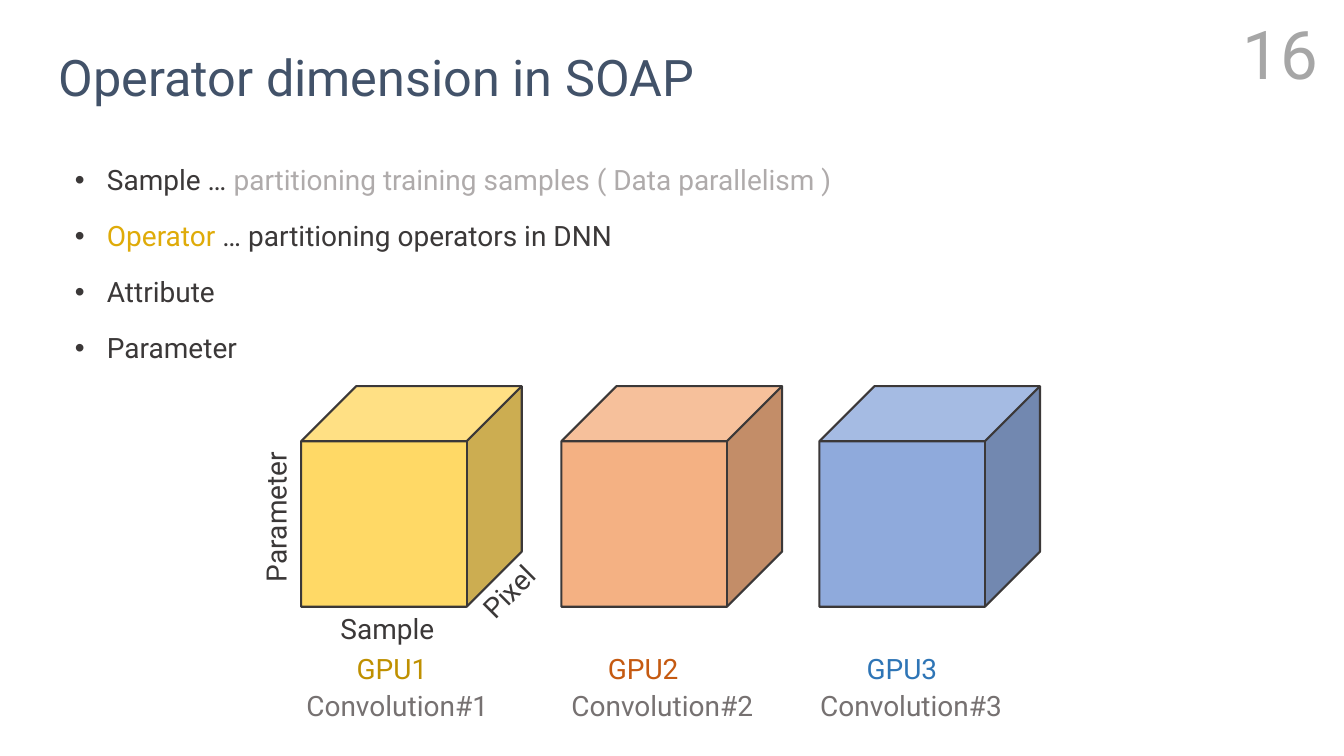
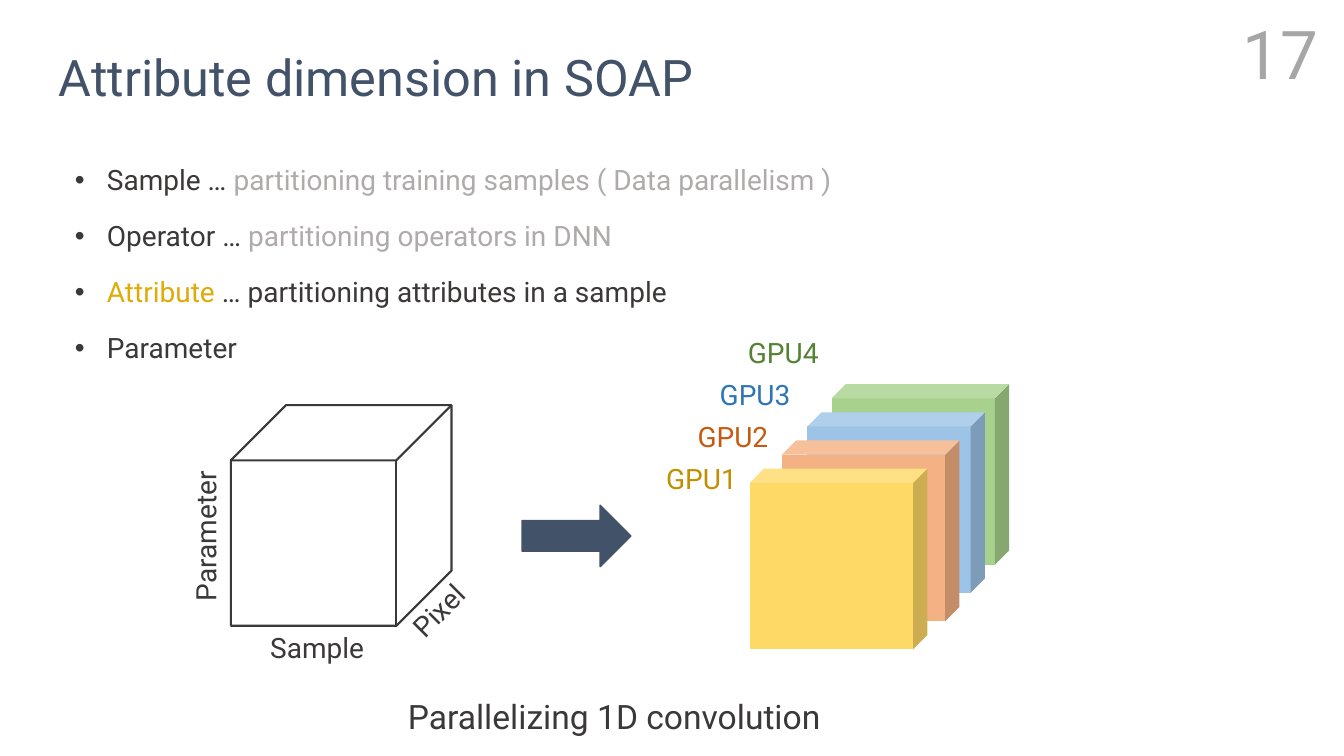
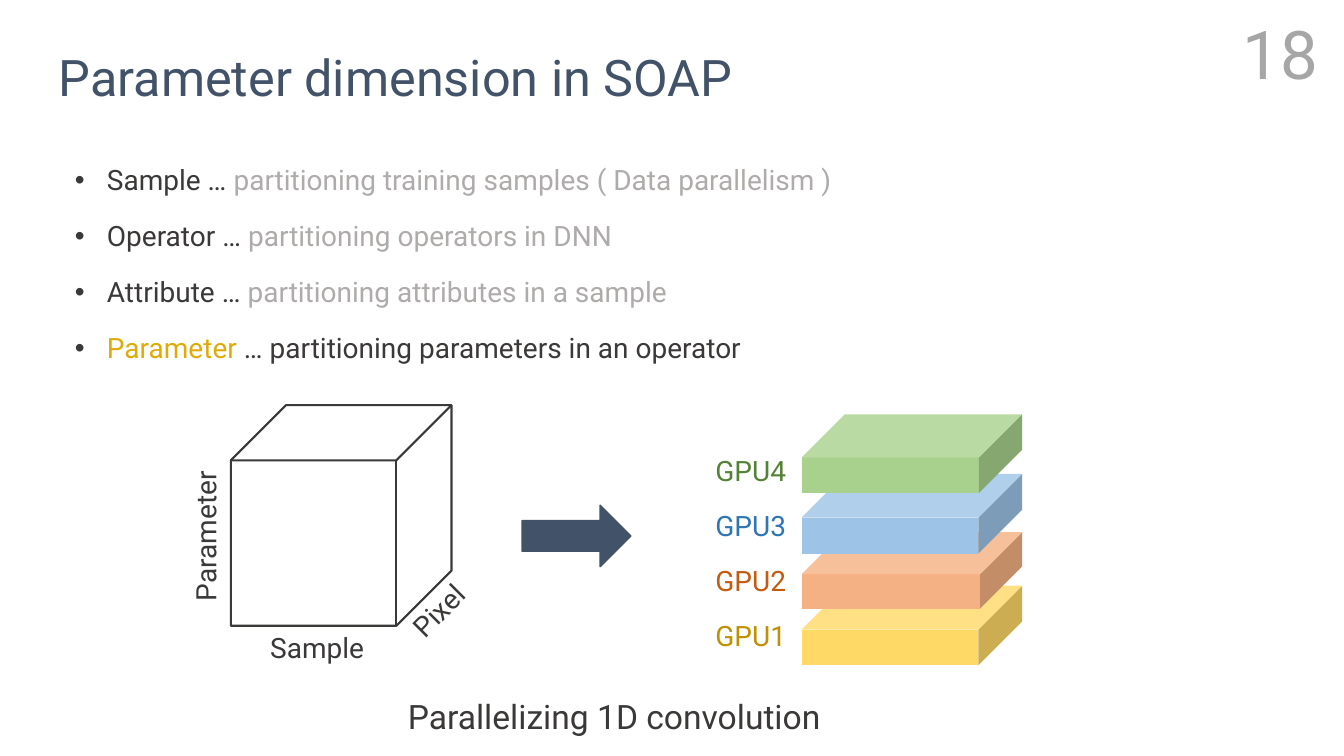
from collections import namedtuple

from lxml.etree import SubElement
from pptx import Presentation
from pptx.dml.color import RGBColor
from pptx.enum.shapes import MSO_SHAPE
from pptx.enum.text import MSO_ANCHOR, MSO_AUTO_SIZE, PP_ALIGN
from pptx.oxml.ns import qn
from pptx.util import Cm, Pt

FONT = "Roboto"
NAVY = RGBColor(0x42, 0x52, 0x69)
DARK = RGBColor(0x3B, 0x38, 0x38)
PALE_GRAY = RGBColor(0xAF, 0xAB, 0xAB)
PAGE_GRAY = RGBColor(0xA6, 0xA6, 0xA6)
LAYER_GRAY = RGBColor(0x76, 0x71, 0x71)
GOLD = RGBColor(0xDF, 0xAB, 0x09)
PERIWINKLE = RGBColor(0x8F, 0xAA, 0xDC)

Gpu = namedtuple("Gpu", "name fill text")
GPUS = [
    Gpu("GPU1", RGBColor(0xFF, 0xD9, 0x66), RGBColor(0xBF, 0x90, 0x00)),
    Gpu("GPU2", RGBColor(0xF4, 0xB1, 0x83), RGBColor(0xC5, 0x5A, 0x11)),
    Gpu("GPU3", RGBColor(0x9D, 0xC3, 0xE6), RGBColor(0x2E, 0x75, 0xB6)),
    Gpu("GPU4", RGBColor(0xA9, 0xD1, 0x8E), RGBColor(0x54, 0x82, 0x35)),
]

DIMENSIONS = [
    ("Sample", "partitioning training samples ( Data parallelism )"),
    ("Operator", "partitioning operators in DNN"),
    ("Attribute", "partitioning attributes in a sample"),
    ("Parameter", "partitioning parameters in an operator"),
]

CUBE_SIDE = 5.56
LABEL_HEIGHT = 1.12


def place(shape, left, top, width, height):
    shape.left, shape.top = Cm(left), Cm(top)
    shape.width, shape.height = Cm(width), Cm(height)


def add_run(paragraph, text, size, color):
    run = paragraph.add_run()
    run.text = text
    run.font.name = FONT
    run.font.size = Pt(size)
    run.font.color.rgb = color


def add_bullet(paragraph):
    properties = paragraph._p.get_or_add_pPr()
    properties.set("marL", str(Cm(0.81)))
    properties.set("indent", str(-Cm(0.81)))
    color = SubElement(properties, qn("a:buClr"))
    SubElement(color, qn("a:srgbClr"), val=str(DARK))
    SubElement(properties, qn("a:buFont"), typeface="Arial")
    SubElement(properties, qn("a:buChar"), char="•")


def add_title(slide, text):
    title = slide.shapes.title
    place(title, 1.07, 0.28, 29.21, 2.9)
    frame = title.text_frame
    frame.auto_size = MSO_AUTO_SIZE.NONE
    frame.vertical_anchor = MSO_ANCHOR.MIDDLE
    frame.margin_left = Cm(0.41)
    paragraph = frame.paragraphs[0]
    paragraph.alignment = PP_ALIGN.LEFT
    paragraph.line_spacing = 1.25
    add_run(paragraph, text, 36, NAVY)


def add_dimension_list(slide, active):
    body = slide.placeholders[1]
    place(body, 1.63, 3.76, 30.61, 12.75)
    frame = body.text_frame
    frame.auto_size = MSO_AUTO_SIZE.NONE
    for index, (name, meaning) in enumerate(DIMENSIONS):
        paragraph = frame.add_paragraph() if index else frame.paragraphs[0]
        add_bullet(paragraph)
        paragraph.line_spacing = 1.25
        paragraph.space_before = Pt(10 if index else 0)
        add_run(paragraph, name, 20, GOLD if index == active else DARK)
        if index <= active:
            add_run(paragraph, " … ", 20, DARK)
            add_run(paragraph, meaning, 20, DARK if index == active else PALE_GRAY)


def add_label(slide, text, left, top, width, color=DARK, size=20,
              height=LABEL_HEIGHT, alignment=PP_ALIGN.LEFT, rotation=0):
    label = slide.shapes.add_textbox(Cm(left), Cm(top), Cm(width), Cm(height))
    label.rotation = rotation
    frame = label.text_frame
    frame.word_wrap = False
    frame.vertical_anchor = MSO_ANCHOR.TOP
    paragraph = frame.paragraphs[0]
    paragraph.alignment = alignment
    add_run(paragraph, text, size, color)
    return label


def add_gpu_label(slide, gpu, left, top):
    add_label(slide, gpu.name, left, top, 2.44, gpu.text, alignment=PP_ALIGN.CENTER)


def add_page_number(slide, number):
    label = add_label(slide, str(number), 23.67, 0.28, 9.8, PAGE_GRAY, 48, 2.11,
                      PP_ALIGN.RIGHT)
    label.text_frame.word_wrap = True
    label.text_frame.vertical_anchor = MSO_ANCHOR.MIDDLE


def add_solid(slide, kind, left, top, width, height, fill=None, line=None,
              line_width=1.5, depth=None):
    solid = slide.shapes.add_shape(kind, Cm(left), Cm(top), Cm(width), Cm(height))
    solid.shadow.inherit = False
    if depth is not None:
        solid.adjustments[0] = depth
    if fill is None:
        solid.fill.background()
    else:
        solid.fill.solid()
        solid.fill.fore_color.rgb = fill
    if line is None:
        solid.line.fill.background()
    else:
        solid.line.color.rgb = line
        solid.line.width = Pt(line_width)


def add_cube(slide, left, top, fill=None):
    add_solid(slide, MSO_SHAPE.CUBE, left, top, CUBE_SIDE, CUBE_SIDE, fill, DARK)


def add_axis_labels(slide, left, top):
    add_label(slide, "Sample", left + 0.74, top + CUBE_SIDE, 2.92)
    add_label(slide, "Parameter", left - 2.54, top + 2.72, 3.81, rotation=270)
    add_label(slide, "Pixel", left + 4.22, top + 4.6, 2.06, rotation=315)


def add_split_diagram(slide):
    left, top = 5.82, 10.21
    add_cube(slide, left, top)
    add_axis_labels(slide, left, top)
    add_solid(slide, MSO_SHAPE.RIGHT_ARROW, 13.16, 12.73, 2.74, 1.55, NAVY, NAVY, 1)
    add_label(slide, "Parallelizing 1D convolution", 10.03, 17.42, 11.05,
              size=24, height=1.27)


def draw_operators(slide):
    top = 9.73
    fills = [GPUS[0].fill, GPUS[1].fill, PERIWINKLE]
    columns = [(7.59, 8.66, 7.47), (14.15, 14.99, 14.15), (20.65, 21.51, 20.42)]
    for number, (gpu, fill, lefts) in enumerate(zip(GPUS, fills, columns), 1):
        cube_left, gpu_left, layer_left = lefts
        add_cube(slide, cube_left, top, fill)
        add_gpu_label(slide, gpu, gpu_left, 16.3)
        add_label(slide, f"Convolution#{number}", layer_left, 17.22, 5.13, LAYER_GRAY)
    add_axis_labels(slide, columns[0][0], top)


def draw_attributes(slide):
    add_split_diagram(slide)
    plate_lefts = [18.9, 19.71, 20.35, 20.96]
    label_lefts = [16.46, 17.25, 17.81, 18.52]
    for index in reversed(range(len(GPUS))):
        gpu = GPUS[index]
        add_solid(slide, MSO_SHAPE.CUBE, plate_lefts[index], 11.81 - 0.71 * index,
                  4.47, 4.55, gpu.fill, depth=0.08)
        add_gpu_label(slide, gpu, label_lefts[index], 11.51 - 1.06 * index)


def draw_parameters(slide):
    add_split_diagram(slide)
    slabs = [(14.76, 2.01), (13.41, 1.93), (11.94, 2.01), (10.44, 1.98)]
    for index, (gpu, (top, height)) in enumerate(zip(GPUS, slabs)):
        add_solid(slide, MSO_SHAPE.CUBE, 20.2, top, CUBE_SIDE, height, gpu.fill,
                  depth=0.55)
        add_gpu_label(slide, gpu, 17.7, 15.47 - 1.39 * index)


def main():
    presentation = Presentation()
    presentation.slide_width = Cm(33.87)
    presentation.slide_height = Cm(19.05)
    diagrams = [draw_operators, draw_attributes, draw_parameters]
    for active, draw in enumerate(diagrams, 1):
        slide = presentation.slides.add_slide(presentation.slide_layouts[1])
        add_title(slide, f"{DIMENSIONS[active][0]} dimension in SOAP")
        add_dimension_list(slide, active)
        add_page_number(slide, 15 + active)
        draw(slide)
    presentation.save("out.pptx")


if __name__ == "__main__":
    main()
